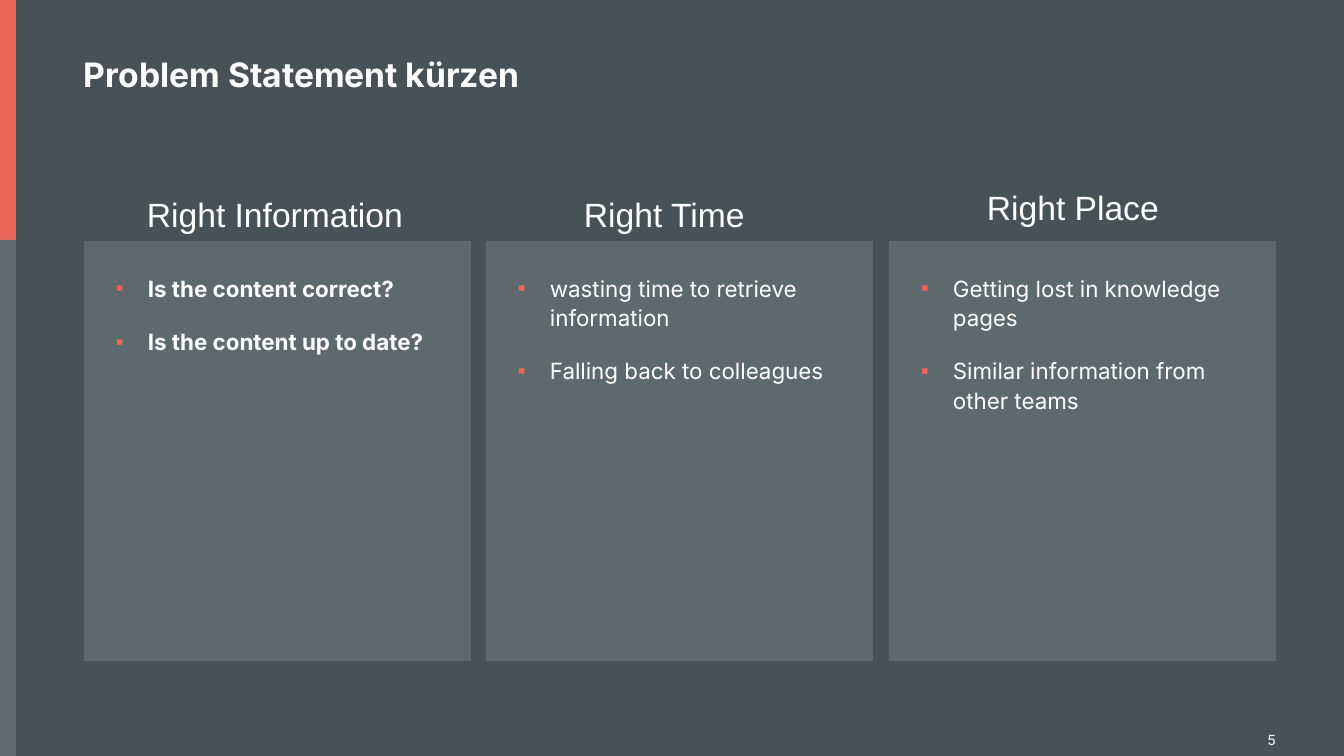
import pptx
import pptx.util
import pptx.dml.color
import pptx.enum.shapes
import pptx.enum.text
import pptx.oxml
import pptx.oxml.ns

PX = 914400 / 100.8
SLIDE_W, SLIDE_H = 1344, 756
COLORS = {
    "background": "485156",
    "accent": "EC6559",
    "rail": "5F696E",
    "panel": "5E696D",
    "text": "FFFFFF",
}
COLUMNS = [
    ("Right Information", 63, -51, True,
     ["Is the content correct?", "Is the content up to date?"]),
    ("Right Time", 98, -51, False,
     ["wasting time to retrieve information", "Falling back to colleagues"]),
    ("Right Place", 98, -58, False,
     ["Getting lost in knowledge pages", "Similar information from other teams"]),
]


def px(length):
    return pptx.util.Emu(round(length * PX))


def rgb(name):
    return pptx.dml.color.RGBColor.from_string(COLORS[name])


def add_block(slide, box, color):
    block = slide.shapes.add_shape(
        pptx.enum.shapes.MSO_SHAPE.RECTANGLE, *map(px, box))
    block.shadow.inherit = False
    block.fill.solid()
    block.fill.fore_color.rgb = rgb(color)
    block.line.fill.background()
    return block


def add_bullet(paragraph):
    properties = paragraph._p.get_or_add_pPr()
    properties.set("marL", str(px(32)))
    properties.set("indent", str(-px(32)))
    namespace = pptx.oxml.ns.nsdecls("a")
    for element in (
        f'<a:buClr {namespace}><a:srgbClr val="{COLORS["accent"]}"/></a:buClr>',
        f'<a:buFont {namespace} typeface="Arial"/>',
        f'<a:buChar {namespace} char="▪"/>',
    ):
        properties.append(pptx.oxml.parse_xml(element))


def write(shape, lines, size, font="Inter", bold=False, insets=(0, 0, 0, 0),
          spacing=1.1, align="LEFT", anchor="TOP", wrap=True, bullets=False):
    frame = shape.text_frame
    frame.word_wrap = wrap
    frame.vertical_anchor = pptx.enum.text.MSO_ANCHOR[anchor]
    (frame.margin_left, frame.margin_top,
     frame.margin_right, frame.margin_bottom) = map(px, insets)
    for index, line in enumerate(lines):
        paragraph = frame.add_paragraph() if index else frame.paragraphs[0]
        if bullets:
            add_bullet(paragraph)
            paragraph.space_after = pptx.util.Pt(16)
            if index:
                paragraph.space_before = pptx.util.Pt(1)
        paragraph.alignment = pptx.enum.text.PP_ALIGN[align]
        paragraph.line_spacing = spacing
        run = paragraph.add_run()
        run.text = line
        run.font.name = font
        run.font.size = pptx.util.Pt(size)
        run.font.bold = bold
        run.font.color.rgb = rgb("text")


def add_text(slide, box, text, **text_format):
    write(slide.shapes.add_textbox(*map(px, box)), [text], **text_format)


def add_side_rail(slide, left, top, width, height):
    accent_height = 240
    add_block(slide, (left, top, width, accent_height), "accent")
    add_block(slide, (left, top + accent_height, width, height - accent_height), "rail")


def add_title(slide, left, top, width, height):
    add_text(slide, (left, top, width, height), "Problem Statement kürzen",
             size=24, bold=True, insets=(0, 58, 39, 0), spacing=pptx.util.Pt(30.8))


def add_page_number(slide, left, top, width, height):
    add_text(slide, (left, top, width, height), "5", size=10,
             insets=(39, 39, 0, 35), align="RIGHT", anchor="BOTTOM")


def add_columns(slide, left, top, width, height):
    panel_width = 387
    for index, (heading, dx, dy, bold, points) in enumerate(COLUMNS):
        panel_left = left + (width - panel_width) * index // (len(COLUMNS) - 1)
        panel = add_block(slide, (panel_left, top, panel_width, height), "panel")
        write(panel, points, size=16, bold=bold, insets=(32, 31, 32, 32), bullets=True)
        add_text(slide, (panel_left + dx, top + dy, 260, 101), heading,
                 size=24, font="Arial", wrap=False)


def main():
    deck = pptx.Presentation()
    deck.slide_width, deck.slide_height = px(SLIDE_W), px(SLIDE_H)
    slide = deck.slides.add_slide(deck.slide_layouts[6])
    slide.background.fill.solid()
    slide.background.fill.fore_color.rgb = rgb("background")
    add_side_rail(slide, 0, 0, 16, SLIDE_H)
    add_title(slide, 84, 0, 988, 101)
    add_columns(slide, 84, 241, 1192, 420)
    add_page_number(slide, 1206, 662, 70, 94)
    deck.save("out.pptx")


if __name__ == "__main__":
    main()
